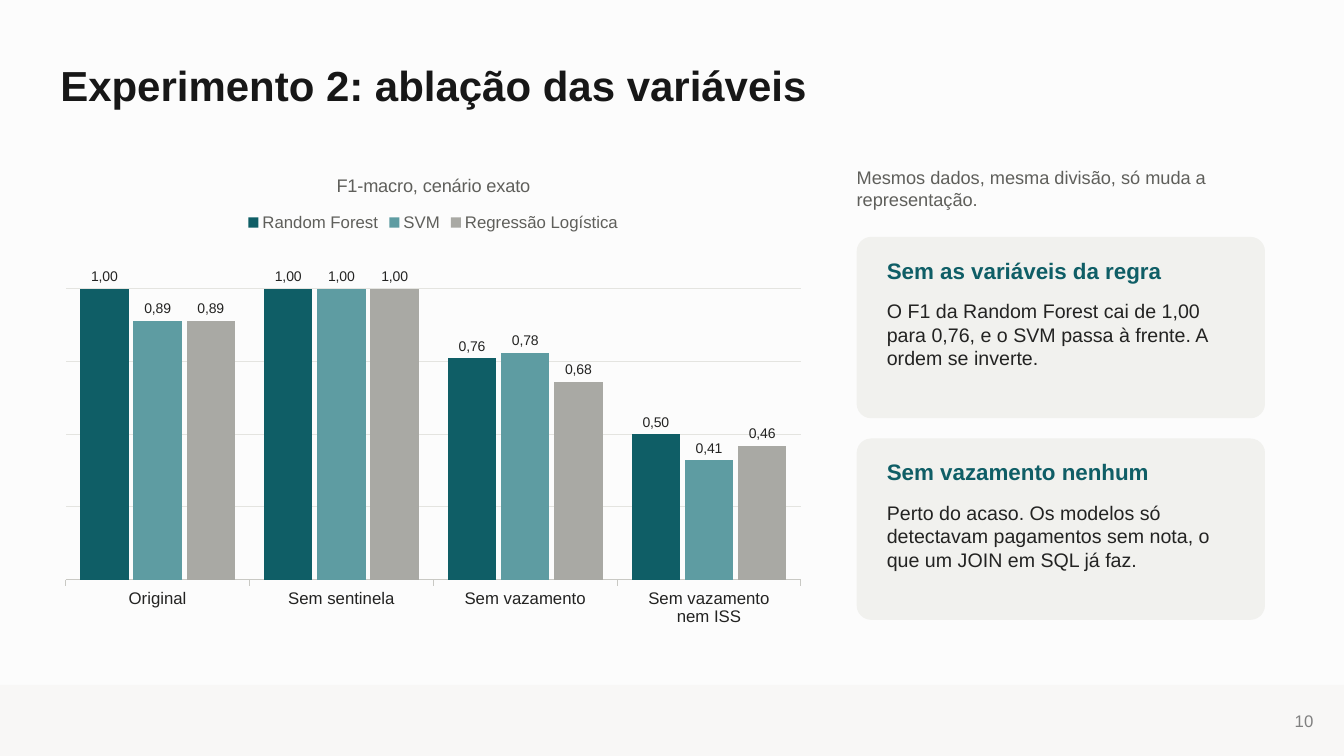
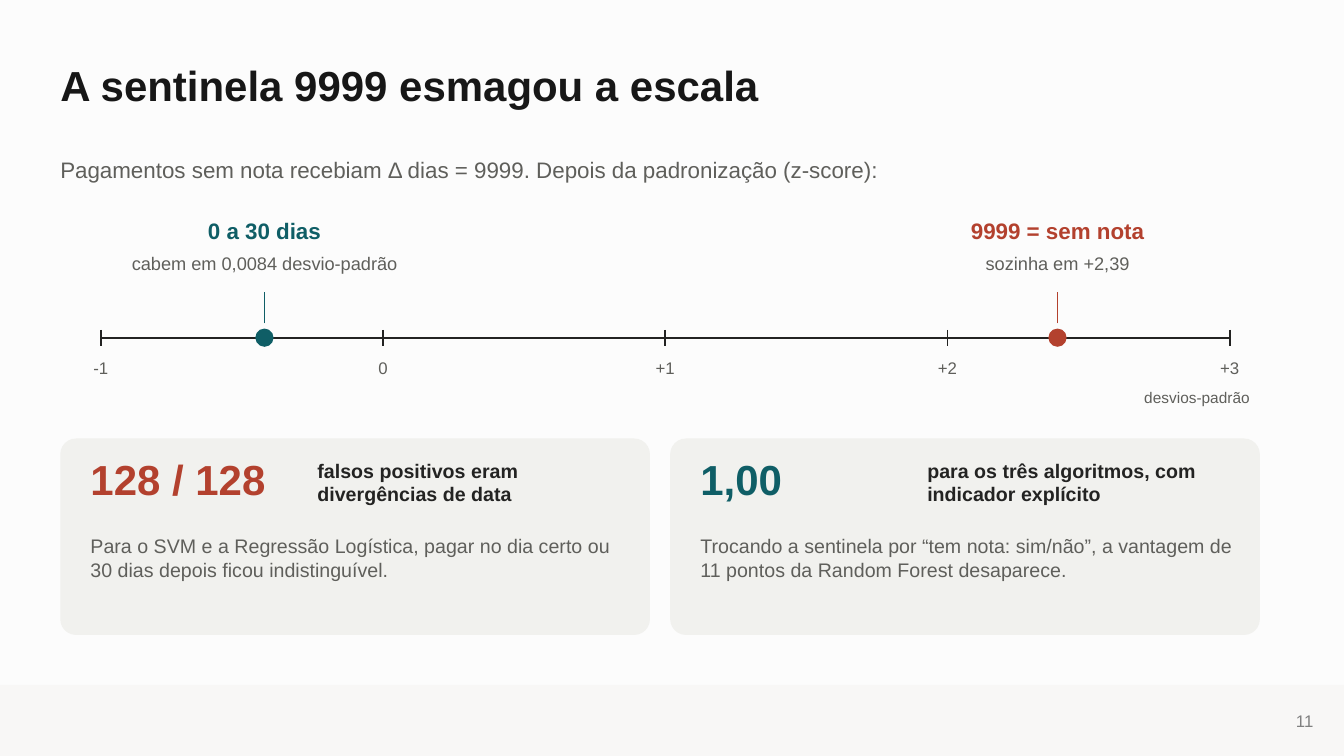
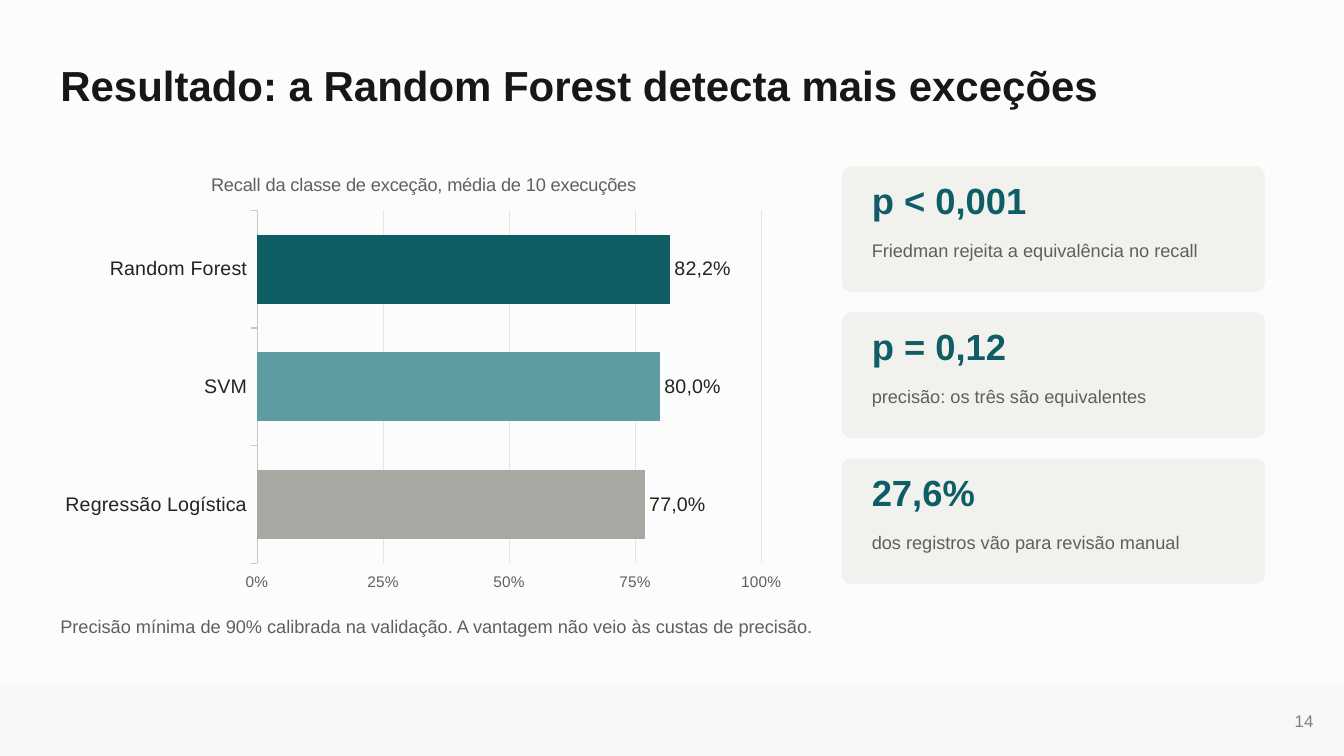
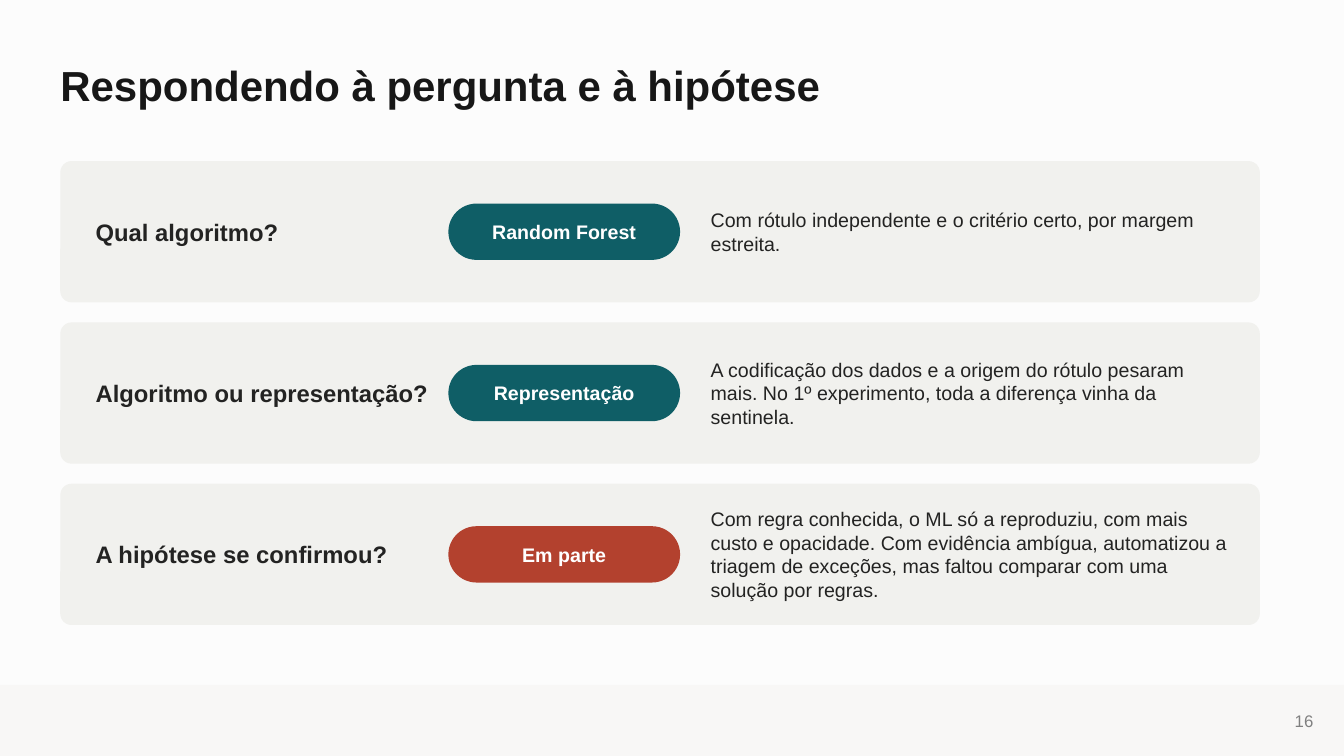
from dataclasses import dataclass

from lxml import etree
from pptx import Presentation
from pptx.chart import data
from pptx.dml.color import RGBColor
from pptx.enum import chart as charts, shapes, text
from pptx.oxml import ns
from pptx.util import Cm, Pt


@dataclass(frozen=True)
class Theme:
    font: str = "Arial"
    paper: str = "FCFCFC"
    band: str = "F8F7F6"
    card: str = "F1F1EE"
    heading: str = "171717"
    ink: str = "232322"
    muted: str = "5F5F5B"
    page: str = "808080"
    white: str = "FFFFFF"
    teal: str = "0F5E66"
    aqua: str = "5E9CA2"
    stone: str = "A9A9A4"
    rust: str = "B3412E"
    axis: str = "C9C9C4"
    grid: str = "E4E4E0"
    title_size: float = 30
    stat_size: float = 26
    question_size: float = 17
    head_size: float = 16
    body_size: float = 14
    note_size: float = 13
    label_size: float = 12
    small_size: float = 11
    value_size: float = 10


T = Theme()
LEFT, GAP, PAD = 1.52, 0.51, 0.76
CENTER, RIGHT = text.PP_ALIGN.CENTER, text.PP_ALIGN.RIGHT
MIDDLE = text.MSO_ANCHOR.MIDDLE

ABLATION = {
    "title": "Experimento 2: ablação das variáveis",
    "page": 10,
    "chart_title": "F1-macro, cenário exato",
    "categories": ["Original", "Sem sentinela", "Sem vazamento", "Sem vazamento\nnem ISS"],
    "series": [
        ("Random Forest", [100, 100, 76, 50], T.teal),
        ("SVM", [89, 100, 78, 41], T.aqua),
        ("Regressão Logística", [89, 100, 68, 46], T.stone),
    ],
    "note": "Mesmos dados, mesma divisão, só muda a representação.",
    "findings": [
        ("Sem as variáveis da regra",
         "O F1 da Random Forest cai de 1,00 para 0,76, e o SVM passa à frente. A ordem se inverte."),
        ("Sem vazamento nenhum",
         "Perto do acaso. Os modelos só detectavam pagamentos sem nota, o que um JOIN em SQL já faz."),
    ],
}

SENTINEL = {
    "title": "A sentinela 9999 esmagou a escala",
    "page": 11,
    "lead": "Pagamentos sem nota recebiam Δ dias = 9999. Depois da padronização (z-score):",
    "ticks": ["-1", "0", "+1", "+2", "+3"],
    "unit": "desvios-padrão",
    "markers": [
        (-0.42, "0 a 30 dias", "cabem em 0,0084 desvio-padrão", T.teal),
        (2.39, "9999 = sem nota", "sozinha em +2,39", T.rust),
    ],
    "effects": [
        ("128 / 128", T.rust, "falsos positivos eram divergências de data",
         "Para o SVM e a Regressão Logística, pagar no dia certo ou 30 dias depois ficou indistinguível."),
        ("1,00", T.teal, "para os três algoritmos, com indicador explícito",
         "Trocando a sentinela por “tem nota: sim/não”, a vantagem de 11 pontos da Random Forest desaparece."),
    ],
}

RECALL = {
    "title": "Resultado: a Random Forest detecta mais exceções",
    "page": 14,
    "chart_title": "Recall da classe de exceção, média de 10 execuções",
    "bars": [
        ("Regressão Logística", 0.77, "77,0%", T.stone),
        ("SVM", 0.8, "80,0%", T.aqua),
        ("Random Forest", 0.82, "82,2%", T.teal),
    ],
    "stats": [
        ("p < 0,001", "Friedman rejeita a equivalência no recall"),
        ("p = 0,12", "precisão: os três são equivalentes"),
        ("27,6%", "dos registros vão para revisão manual"),
    ],
    "note": "Precisão mínima de 90% calibrada na validação. A vantagem não veio às custas de precisão.",
}

ANSWERS = {
    "title": "Respondendo à pergunta e à hipótese",
    "page": 16,
    "rows": [
        ("Qual algoritmo?", "Random Forest", T.teal,
         "Com rótulo independente e o critério certo, por margem estreita."),
        ("Algoritmo ou representação?", "Representação", T.teal,
         "A codificação dos dados e a origem do rótulo pesaram mais. No 1º experimento, "
         "toda a diferença vinha da sentinela."),
        ("A hipótese se confirmou?", "Em parte", T.rust,
         "Com regra conhecida, o ML só a reproduziu, com mais custo e opacidade. Com evidência ambígua, "
         "automatizou a triagem de exceções, mas faltou comparar com uma solução por regras."),
    ],
}


def rgb(color):
    return RGBColor.from_string(color)


def box(*lengths):
    return [Cm(length) for length in lengths]


def style(font, size, color, bold=False):
    font.name, font.size, font.bold = T.font, Pt(size), bold
    font.color.rgb = rgb(color)


def write(frame, words, size=T.body_size, color=T.ink, bold=False, align=None,
          anchor=text.MSO_ANCHOR.TOP, insets=(0, 0, 0, 0), spacing=None):
    frame.word_wrap = True
    frame.auto_size = text.MSO_AUTO_SIZE.NONE
    frame.vertical_anchor = anchor
    frame.margin_left, frame.margin_top, frame.margin_right, frame.margin_bottom = box(*insets)
    paragraph = frame.paragraphs[0]
    paragraph.alignment, paragraph.line_spacing = align, spacing
    run = paragraph.add_run()
    run.text = words
    style(run.font, size, color, bold)


def put(slide, words, place, **look):
    write(slide.shapes.add_textbox(*box(*place)).text_frame, words, **look)


def panel(slide, place, color=T.card, kind=shapes.MSO_SHAPE.ROUNDED_RECTANGLE, corner=None):
    part = slide.shapes.add_shape(kind, *box(*place))
    part.shadow.inherit = False
    part.fill.solid()
    part.fill.fore_color.rgb = rgb(color)
    part.line.fill.background()
    if corner is not None:
        part.adjustments[0] = corner
    return part


def card(slide, *place):
    return panel(slide, place, corner=0.08)


def rule(slide, start, end, color=T.ink, width=1.25):
    stroke = slide.shapes.add_connector(shapes.MSO_CONNECTOR.STRAIGHT, *box(*start, *end))
    stroke.line.color.rgb = rgb(color)
    stroke.line.width = Pt(width)
    etree.SubElement(stroke.element.spPr, ns.qn("a:effectLst"))


def prepare_layout(deck):
    layout = deck.slide_layouts[5]
    layout.background.fill.solid()
    layout.background.fill.fore_color.rgb = rgb(T.paper)
    for holder in list(layout.placeholders)[1:]:
        layout.shapes.element.remove(holder.element)
    return layout


def start_slide(deck, layout, content):
    slide = deck.slides.add_slide(layout)
    if len(deck.slides) == 1:
        band = panel(slide, (0, 17.26, 33.87, 1.79), T.band, shapes.MSO_SHAPE.RECTANGLE)
        layout.shapes.element.insert(2, band.element)
    title = slide.shapes.title
    title.left, title.top, title.width, title.height = box(LEFT, 1.27, 30.73, 1.9)
    write(title.text_frame, content["title"], size=T.title_size, color=T.heading, bold=True,
          align=text.PP_ALIGN.LEFT, anchor=MIDDLE, insets=(0, 0.13, 0.25, 0.13), spacing=0.9)
    put(slide, str(content["page"]), (25.73, 17.65, 7.62, 1.02), size=T.label_size, color=T.page,
        align=RIGHT, anchor=MIDDLE, insets=(0.25, 0.13, 0.25, 0.13))
    return slide


def add_plot(slide, kind, place, heading, categories, series, *, top, step, gap, category_size):
    values = data.CategoryChartData()
    values.categories = categories
    for name, numbers, _ in series:
        values.add_series(name, numbers)
    chart = slide.shapes.add_chart(kind, *box(*place), values).chart
    style(chart.font, T.label_size, T.muted)
    chart.has_legend = False
    chart.has_title = True
    chart.chart_title.include_in_layout = False
    title_run = chart.chart_title.text_frame.paragraphs[0].add_run()
    title_run.text = heading
    style(title_run.font, T.note_size, T.muted)

    style(chart.category_axis.tick_labels.font, category_size, T.ink)
    chart.category_axis.format.line.color.rgb = rgb(T.axis)
    chart.category_axis.format.line.width = Pt(0.75)
    scale = chart.value_axis
    scale.minimum_scale, scale.maximum_scale, scale.major_unit = 0, top, step
    scale.format.line.fill.background()
    scale.major_gridlines.format.line.color.rgb = rgb(T.grid)
    scale.major_gridlines.format.line.width = Pt(0.75)
    style(scale.tick_labels.font, T.small_size, T.muted)

    plot = chart.plots[0]
    plot.vary_by_categories = False
    plot.gap_width, plot.overlap = gap, -10
    for drawn, (_, _, color) in zip(plot.series, series):
        drawn.format.fill.solid()
        drawn.format.fill.fore_color.rgb = rgb(color)
    return chart


def label_points(series, labels, size):
    for index, words in enumerate(labels):
        label = series.points[index].data_label
        run = label.text_frame.paragraphs[0].add_run()
        run.text = words
        style(run.font, size, T.ink)
        label.position = charts.XL_LABEL_POSITION.OUTSIDE_END


def build_ablation(slide, content):
    chart = add_plot(slide, charts.XL_CHART_TYPE.COLUMN_CLUSTERED, (1.27, 3.94, 19.3, 12.06),
                     content["chart_title"], content["categories"], content["series"],
                     top=115, step=25, gap=60, category_size=T.label_size)
    chart.value_axis.tick_label_position = charts.XL_TICK_LABEL_POSITION.NONE
    chart.has_legend = True
    chart.legend.position = charts.XL_LEGEND_POSITION.TOP
    chart.legend.include_in_layout = False
    style(chart.legend.font, T.label_size, T.muted)
    for drawn, (_, numbers, _) in zip(chart.plots[0].series, content["series"]):
        label_points(drawn, [f"{number / 100:.2f}".replace(".", ",") for number in numbers], T.value_size)

    left, width, height = 21.59, 10.29, 4.57
    put(slide, content["note"], (left, 4.19, 10.41, 1.02), size=T.note_size, color=T.muted)
    for index, (head, body) in enumerate(content["findings"]):
        top = 5.97 + index * (height + GAP)
        card(slide, left, top, width, height)
        put(slide, head, (left + PAD, top + 0.5, 8.89, 1.02), size=T.head_size, color=T.teal, bold=True)
        put(slide, body, (left + PAD, top + 1.57, 8.89, 2.79))


def build_sentinel(slide, content):
    axis_y, start_x, end_x = 8.51, 2.54, 30.99
    ticks = content["ticks"]
    unit = (end_x - start_x) / (len(ticks) - 1)

    def at(score):
        return start_x + (score - int(ticks[0])) * unit

    put(slide, content["lead"], (LEFT, 3.94, 30.48, 2.03), size=T.head_size, color=T.muted)
    rule(slide, (start_x, axis_y), (end_x, axis_y), width=1.5)
    for label in ticks:
        x = at(int(label))
        rule(slide, (x, axis_y - 0.2), (x, axis_y + 0.2))
        put(slide, label, (x - 1.02, 9.02, 2.04, 0.76), size=T.label_size, color=T.muted, align=CENTER)
    put(slide, content["unit"], (27.43, 9.78, 4.07, 0.76), size=T.small_size, color=T.muted, align=RIGHT)

    dot, width = 0.46, 9.14
    for score, head, detail, color in content["markers"]:
        x = at(score)
        panel(slide, (x - dot / 2, axis_y - dot / 2, dot, dot), color, shapes.MSO_SHAPE.OVAL)
        rule(slide, (x, 8.15), (x, 7.37), color)
        put(slide, head, (x - width / 2, 5.46, width, 1.14), size=T.head_size, color=color,
            bold=True, align=CENTER)
        put(slide, detail, (x - width / 2, 6.35, width, 1.02), size=T.note_size, color=T.muted, align=CENTER)

    top, width, height = 11.05, 14.86, 4.95
    for index, (number, color, claim, body) in enumerate(content["effects"]):
        left = LEFT + index * (width + GAP)
        card(slide, left, top, width, height)
        put(slide, number, (left + PAD, top + 0.38, 5.84, 1.78), size=T.title_size, color=color, bold=True)
        put(slide, claim, (left + 6.48, top + 0.51, 7.87, 1.78), bold=True)
        put(slide, body, (left + PAD, top + 2.41, 13.46, 2.29), color=T.muted)


def build_recall(slide, content):
    names, rates, labels, colors = zip(*content["bars"])
    chart = add_plot(slide, charts.XL_CHART_TYPE.BAR_CLUSTERED, (1.27, 3.94, 18.8, 11.18),
                     content["chart_title"], names, [("Recall", rates, T.teal)],
                     top=1, step=0.25, gap=70, category_size=T.body_size)
    chart.value_axis.tick_labels.number_format = "0%"
    chart.value_axis.tick_labels.number_format_is_linked = False
    recall = chart.plots[0].series[0]
    for index, color in enumerate(colors):
        fill = recall.points[index].format.fill
        fill.solid()
        fill.fore_color.rgb = rgb(color)
    label_points(recall, labels, T.body_size)

    left, width, height = 21.21, 10.67, 3.17
    for index, (number, meaning) in enumerate(content["stats"]):
        top = 4.19 + index * (height + GAP)
        card(slide, left, top, width, height)
        put(slide, number, (left + PAD, top + 0.3, 9.4, 1.52), size=T.stat_size, color=T.teal, bold=True)
        put(slide, meaning, (left + PAD, top + 1.83, 9.4, 1.14), size=T.note_size, color=T.muted)
    put(slide, content["note"], (LEFT, 15.5, 30.48, 1.02), size=T.note_size, color=T.muted)


def build_answers(slide, content):
    first_top, bottom, height, pill_height = 4.06, 15.75, 3.56, 1.42
    step = (bottom - height - first_top) / (len(content["rows"]) - 1)
    for index, (question, verdict, color, reason) in enumerate(content["rows"]):
        top = first_top + index * step
        card(slide, LEFT, top, 30.23, height)
        put(slide, question, (2.41, top, 8.64, height), size=T.question_size, bold=True, anchor=MIDDLE)
        pill = panel(slide, (11.3, top + (height - pill_height) / 2, 5.84, pill_height), color, corner=0.5)
        write(pill.text_frame, verdict, color=T.white, bold=True, align=CENTER, anchor=MIDDLE)
        put(slide, reason, (17.91, top, 13.21, height), anchor=MIDDLE)


def main():
    deck = Presentation()
    deck.slide_width, deck.slide_height = box(33.87, 19.05)
    layout = prepare_layout(deck)
    for content, build in [(ABLATION, build_ablation), (SENTINEL, build_sentinel),
                           (RECALL, build_recall), (ANSWERS, build_answers)]:
        build(start_slide(deck, layout, content), content)
    deck.save("out.pptx")


if __name__ == "__main__":
    main()
